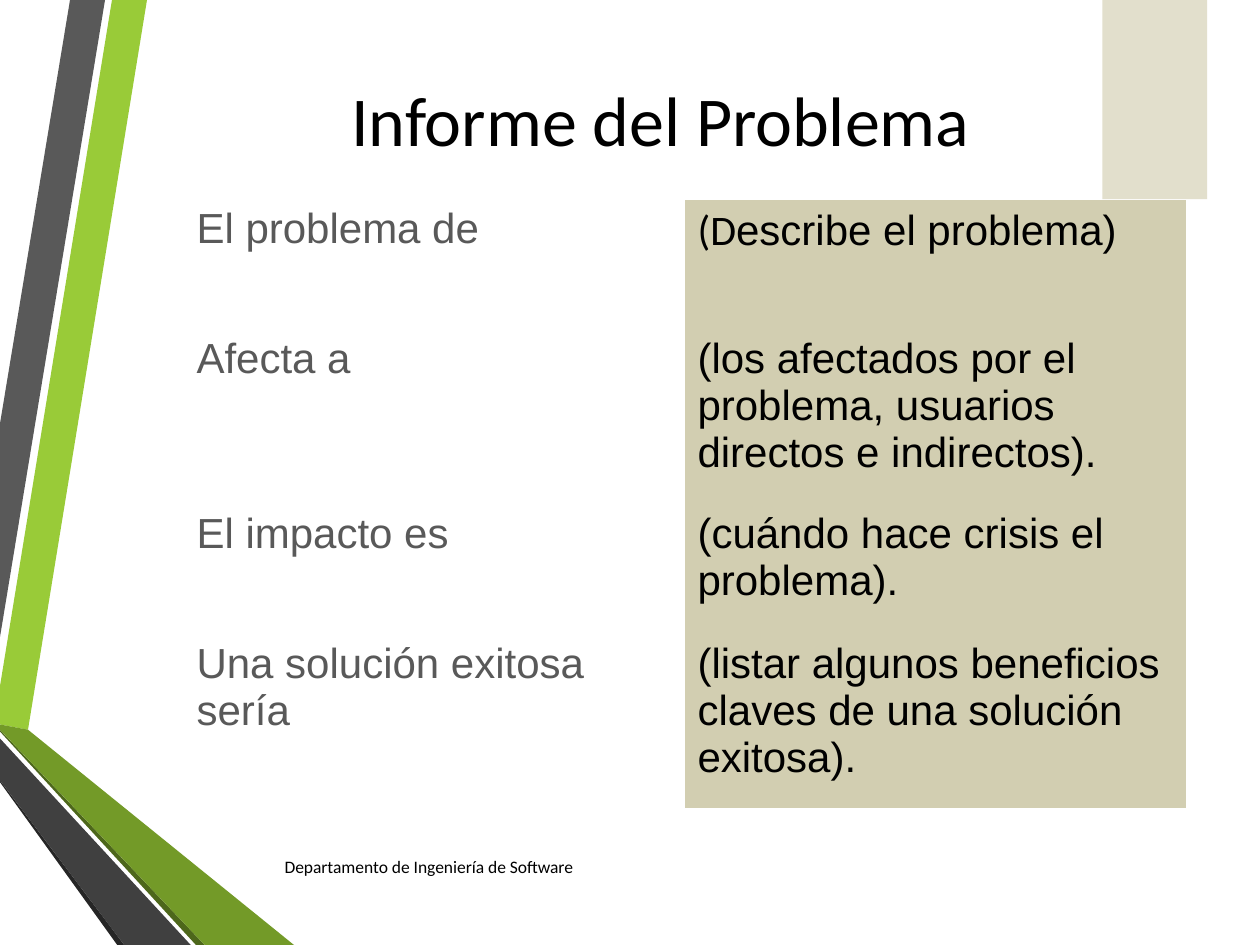
from dataclasses import dataclass

from pptx import Presentation
from pptx.dml.color import RGBColor
from pptx.enum.shapes import MSO_SHAPE
from pptx.enum.text import MSO_ANCHOR, PP_ALIGN
from pptx.oxml.ns import qn
from pptx.util import Pt

RECTANGLE = MSO_SHAPE.RECTANGLE
MIDDLE, TOP = MSO_ANCHOR.MIDDLE, MSO_ANCHOR.TOP
CENTER, LEFT = PP_ALIGN.CENTER, PP_ALIGN.LEFT
NO_STYLE_NO_GRID = "{2D5ABB26-0587-4C30-8999-92F81FD0307C}"


@dataclass(frozen=True)
class Theme:
    heading_font: str = "Calibri"
    body_font: str = "Arial"
    title_size: float = 40
    body_size: float = 24
    footer_size: float = 10
    black: str = "000000"
    gray: str = "595959"
    white: str = "FFFFFF"
    sand: str = "D2CEB1"
    light_sand: str = "E2DFCC"


@dataclass(frozen=True)
class Facet:
    color: str
    points: tuple


@dataclass(frozen=True)
class ProblemRow:
    label: str
    description: str
    height: float


THEME = Theme()
WIDTH, HEIGHT = 720, 540

# Folded ribbons along the left edge, from back to front
FACETS = (
    Facet("99CB38", ((0, 391.7), (0, 414), (15.8, 416.9), (84.2, 0), (64.1, 0))),
    Facet("595959", ((59.8, 0), (39.6, 0), (0, 241.9), (0, 364.3))),
    Facet("262626", ((0, 445.7), (0, 447.1), (67, HEIGHT), (71.3, HEIGHT))),
    Facet("4D671B", ((0, 416.9), (0, 417.6), (112.3, HEIGHT), (117.4, HEIGHT))),
    Facet("739A28", ((0, 416.9), (117.4, HEIGHT), (167.8, HEIGHT),
                     (15.8, 416.9), (0, 414))),
    Facet("404040", ((0, 445.7), (71.3, HEIGHT), (108.7, HEIGHT), (0, 421.9))),
)

ROWS = (
    ProblemRow("El problema de", "(Describe el problema)", 74.2),
    ProblemRow("Afecta a", "(los afectados por el problema, usuarios directos "
               "e indirectos).", 100.1),
    ProblemRow("El impacto es", "(cuándo hace crisis el problema).", 74.2),
    ProblemRow("Una solución exitosa sería", "(listar algunos beneficios claves "
               "de una solución exitosa).", 99.4),
)


def paint(shape, color: str) -> None:
    shape.shadow.inherit = False
    shape.fill.solid()
    shape.fill.fore_color.rgb = RGBColor.from_string(color)
    shape.line.fill.background()


def write(text_frame, text: str, *, size: float, color: str = THEME.black,
          font: str = THEME.heading_font, align=LEFT, lead: str = "") -> None:
    """Write one paragraph; a lead at its start takes the heading font."""
    text_frame.word_wrap = True
    paragraph = text_frame.paragraphs[0]
    paragraph.alignment = align
    pieces = [(lead, THEME.heading_font)] if lead else []
    pieces.append((text.removeprefix(lead), font))
    for piece, name in pieces:
        run = paragraph.add_run()
        run.text = piece
        run.font.name = name
        run.font.size = Pt(size)
        run.font.color.rgb = RGBColor.from_string(color)


def draw_facet(slide, facet: Facet) -> None:
    start, *rest = facet.points
    builder = slide.shapes.build_freeform(*start, scale=Pt(1))
    builder.add_line_segments(rest, close=True)
    paint(builder.convert_to_shape(), facet.color)


def draw_title(slide, text: str) -> None:
    title = slide.shapes.title
    title.left, title.top, title.width, title.height = (
        Pt(70.6), Pt(36), Pt(613.4), Pt(64))
    title.text_frame.vertical_anchor = MIDDLE
    write(title.text_frame, text, size=THEME.title_size, align=CENTER)


def draw_footer(slide, text: str) -> None:
    footer = slide.shapes.add_textbox(Pt(155.5), Pt(481), Pt(418.3), Pt(28.8))
    footer.text_frame.vertical_anchor = MIDDLE
    write(footer.text_frame, text, size=THEME.footer_size)


def draw_table(slide, rows: tuple) -> None:
    column_width = 286.3
    frame = slide.shapes.add_table(
        len(rows), 2, Pt(105.1), Pt(114), Pt(2 * column_width),
        Pt(sum(row.height for row in rows)))
    table = frame.table
    table.first_row = table.horz_banding = False
    table._tbl.tblPr.find(qn("a:tableStyleId")).text = NO_STYLE_NO_GRID
    for column in table.columns:
        column.width = Pt(column_width)

    for index, row in enumerate(rows):
        table.rows[index].height = Pt(row.height)
        lead = "(D" if index == 0 else ""
        cells = ((row.label, THEME.gray, THEME.white, ""),
                 (row.description, THEME.black, THEME.sand, lead))
        for column, (text, color, fill, start) in enumerate(cells):
            cell = table.cell(index, column)
            cell.vertical_anchor = TOP
            cell.fill.solid()
            cell.fill.fore_color.rgb = RGBColor.from_string(fill)
            write(cell.text_frame, text, size=THEME.body_size, color=color,
                  font=THEME.body_font, lead=start)


def main() -> None:
    presentation = Presentation()
    presentation.slide_width, presentation.slide_height = Pt(WIDTH), Pt(HEIGHT)
    title_only = presentation.slide_layouts[5]
    slide = presentation.slides.add_slide(title_only)

    # Side decoration
    for facet in FACETS:
        draw_facet(slide, facet)

    # Heading and footer
    draw_title(slide, "Informe del Problema")
    draw_footer(slide, "Departamento de Ingeniería de Software")

    # Tab at the top right
    tab = slide.shapes.add_shape(RECTANGLE, Pt(630), Pt(0), Pt(59.8), Pt(113.8))
    paint(tab, THEME.light_sand)

    # Problem statement
    draw_table(slide, ROWS)
    presentation.save("out.pptx")


if __name__ == "__main__":
    main()
